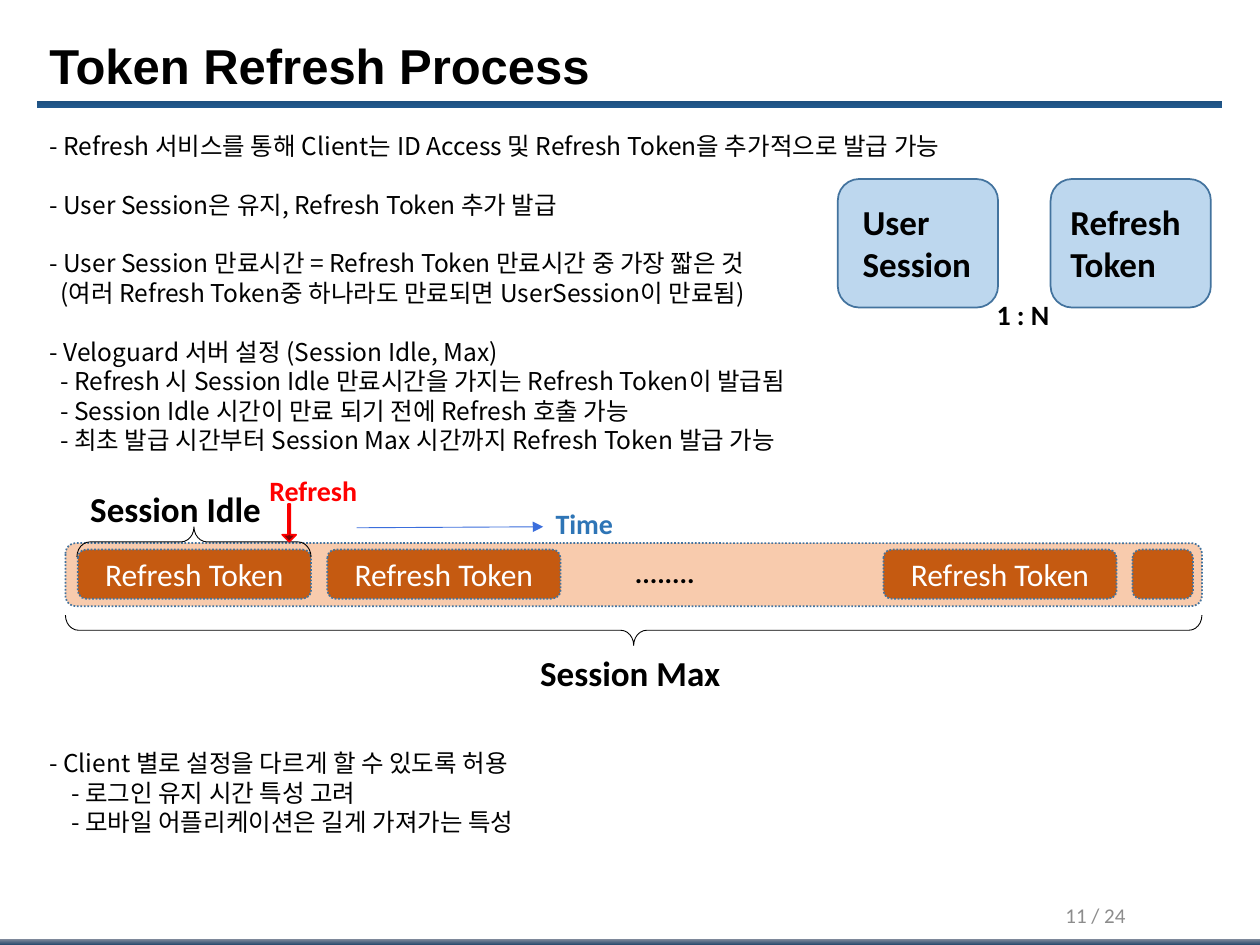
from lxml import etree
from pptx import Presentation
from pptx.dml.color import RGBColor
from pptx.enum.dml import MSO_LINE
from pptx.enum.shapes import MSO_CONNECTOR, MSO_SHAPE
from pptx.enum.text import MSO_ANCHOR, MSO_AUTO_SIZE, PP_ALIGN
from pptx.oxml.ns import qn
from pptx.util import Cm, Pt

RECT, ROUNDED = MSO_SHAPE.RECTANGLE, MSO_SHAPE.ROUNDED_RECTANGLE
BRACE, DOWN_ARROW = MSO_SHAPE.LEFT_BRACE, MSO_SHAPE.DOWN_ARROW
STRAIGHT = MSO_CONNECTOR.STRAIGHT
LEFT, CENTER, RIGHT = PP_ALIGN.LEFT, PP_ALIGN.CENTER, PP_ALIGN.RIGHT
TOP, MIDDLE = MSO_ANCHOR.TOP, MSO_ANCHOR.MIDDLE
FIXED_SIZE = MSO_AUTO_SIZE.NONE
DOTTED = MSO_LINE.ROUND_DOT

COLORS = {
    "black": "000000", "white": "FFFFFF", "gray": "8C8C8C", "red": "FF0000",
    "time": "2E75B6", "time_arrow": "3B6EDC", "outline": "43739E",
    "entity": "BDD7EE", "track": "F8CBAD", "token": "C55A11",
    "title_bar": ("1E4F7E", "22598E"), "footer_bar": ("8C93A1", "29496D"),
    "refresh_arrow": ("E30000", "760303"),
}
NOTES_FONT = "Noto Sans CJK KR"
LINE_PITCH = 16.8  # points
INDENT = 0.22  # cm per level

# Text, indent level, empty lines above
NOTES = [
    ("- Refresh 서비스를 통해 Client는 ID Access 및 Refresh Token을 추가적으로 발급 가능", 0, 0),
    ("- User Session은 유지, Refresh Token 추가 발급", 0, 1),
    ("- User Session 만료시간 = Refresh Token 만료시간 중 가장 짧은 것", 0, 1),
    ("(여러 Refresh Token중 하나라도 만료되면 UserSession이 만료됨)", 1, 0),
    ("- Veloguard 서버 설정 (Session Idle, Max)", 0, 1),
    ("- Refresh 시 Session Idle 만료시간을 가지는 Refresh Token이 발급됨", 1, 0),
    ("- Session Idle 시간이 만료 되기 전에 Refresh 호출 가능", 1, 0),
    ("- 최초 발급 시간부터 Session Max 시간까지 Refresh Token 발급 가능", 1, 0),
    ("- Client 별로 설정을 다르게 할 수 있도록 허용", 0, 10),
    ("- 로그인 유지 시간 특성 고려", 2, 0),
    ("- 모바일 어플리케이션은 길게 가져가는 특성", 2, 0),
]


def rgb(name):
    return RGBColor.from_string(COLORS[name])


def place(shape, left, top, width, height):
    shape.left, shape.top = Cm(left), Cm(top)
    shape.width, shape.height = Cm(width), Cm(height)


def style_text(frame, size, color="black", bold=False, align=LEFT, font="Calibri"):
    for paragraph in frame.paragraphs:
        paragraph.alignment = align
        for run in paragraph.runs:
            run.font.name, run.font.size, run.font.bold = font, Pt(size), bold
            run.font.color.rgb = rgb(color)


def add_label(slide, text, box, size, color="black", bold=True, align=LEFT,
              anchor=TOP, wrap=True):
    frame = slide.shapes.add_textbox(*map(Cm, box)).text_frame
    frame.text = text
    frame.word_wrap = wrap
    frame.vertical_anchor = anchor
    style_text(frame, size, color, bold, align)


def add_block(slide, kind, box, fill=None, line=None, weight=1, dash=None):
    block = slide.shapes.add_shape(kind, *map(Cm, box))
    block.shadow.inherit = False
    if fill is None:
        block.fill.background()
    elif isinstance(COLORS[fill], tuple):
        block.fill.gradient()
        block.fill.gradient_angle = 270
        for stop, color in zip(block.fill.gradient_stops, COLORS[fill]):
            stop.color.rgb = RGBColor.from_string(color)
    else:
        block.fill.solid()
        block.fill.fore_color.rgb = rgb(fill)
    if line is None:
        block.line.fill.background()
    else:
        block.line.color.rgb = rgb(line)
        block.line.width = Pt(weight)
        if dash:
            block.line.dash_style = dash
    return block


def add_brace(slide, left, top, width, height, rotation):
    """Horizontal brace that fills the given box after its rotation."""
    box = (left + (width - height) / 2, top + (height - width) / 2, height, width)
    brace = add_block(slide, BRACE, box, line="black", weight=0.5)
    brace.rotation = rotation
    brace.adjustments[0] = 0.43


def add_time_arrow(slide, start, end):
    arrow = slide.shapes.add_connector(STRAIGHT, *map(Cm, start + end))
    arrow.line.color.rgb = rgb("time_arrow")
    arrow.line.width = Pt(0.5)
    line = arrow._element.spPr.find(qn("a:ln"))
    etree.SubElement(line, qn("a:tailEnd"), type="triangle")
    etree.SubElement(arrow._element.spPr, qn("a:effectLst"))


def build_header(slide, left, top, width):
    title = slide.shapes.title
    place(title, left, top, width, 1.55)
    frame = title.text_frame
    frame.text = "Token Refresh Process"
    frame.auto_size = FIXED_SIZE
    frame.vertical_anchor = MIDDLE
    frame.paragraphs[0].line_spacing = 0.9
    style_text(frame, 28, bold=True, font="Arial")
    add_block(slide, RECT, (left, top + 1.42, width, 0.15), "title_bar")


def build_footer(slide, top, width):
    add_block(slide, RECT, (0, top + 0.81, width, 0.13), "footer_bar")
    add_label(slide, "11 / 24", (17.22, top, 5.72, 0.66), 12, "gray", False,
              RIGHT, MIDDLE)


def build_notes(slide, left, top, width, height):
    notes = slide.placeholders[1]
    place(notes, left, top, width, height)
    frame = notes.text_frame
    frame.auto_size = FIXED_SIZE
    frame.text = "\n".join(text for text, _, _ in NOTES)
    style_text(frame, 14, font=NOTES_FONT)
    for paragraph, (_, level, gap) in zip(frame.paragraphs, NOTES):
        paragraph.line_spacing = Pt(LINE_PITCH)
        paragraph.space_before = Pt(gap * LINE_PITCH)
        properties = paragraph._p.get_or_add_pPr()
        properties.set("marL", str(Cm(level * INDENT)))
        properties.set("indent", "0")
        etree.SubElement(properties, qn("a:buNone"))
        for run in paragraph.runs:
            etree.SubElement(run.font._element, qn("a:ea"), typeface=NOTES_FONT)


def build_relation(slide, left, top):
    # One user session to many refresh tokens
    for offset, inset, words in ((0, 0.25, "User\nSession"), (4.29, 0.15, "Refresh\nToken")):
        x = left + offset
        add_block(slide, ROUNDED, (x, top, 3.23, 2.59), "entity", "outline")
        add_label(slide, words, (x + inset, top + 0.3, 2.8, 1.96), 20, wrap=False)
    add_label(slide, "1 : N", (left + 2.95, top + 2.26, 1.57, 0.94), 16, wrap=False)


def build_timeline(slide, left, top, width):
    # Track and its tokens
    add_block(slide, ROUNDED, (left, top, width, 1.27), "track", "outline", dash=DOTTED)
    for offset, token_width, text in ((0.25, 4.7, "Refresh Token"),
                                      (5.28, 4.7, "Refresh Token"),
                                      (16.49, 4.7, "Refresh Token"),
                                      (21.51, 1.22, "")):
        token = add_block(slide, ROUNDED, (left + offset, top + 0.13, token_width, 0.99),
                          "token", "outline", dash=DOTTED)
        if text:
            token.text_frame.text = text
            token.text_frame.vertical_anchor = MIDDLE
            style_text(token.text_frame, 18, "white", align=CENTER)

    # Spans of the idle and maximum times
    add_brace(slide, left + 0.23, top - 0.33, 4.72, 0.61, 90)
    add_brace(slide, left, top + 1.45, width, 0.61, 270)

    # Refresh call and direction of time
    add_block(slide, DOWN_ARROW, (left + 4.37, top - 0.79, 0.28, 0.76),
              "refresh_arrow", "red").adjustments[0] = 0.15
    add_time_arrow(slide, (left + 5.87, top - 0.31), (left + 9.63, top - 0.33))

    for text, x, y, size, color in (("Session Max", 9.32, 2.05, 20, "black"),
                                    ("Session Idle", 0.25, -1.25, 20, "black"),
                                    ("Time", 9.63, -0.87, 16, "time"),
                                    ("........", 11.23, 0.12, 16, "black"),
                                    ("Refresh", 3.86, -1.53, 16, "red")):
        add_label(slide, text, (left + x, top + y, 5.03, 1), size, color)


def main():
    deck = Presentation()
    deck.slide_width, deck.slide_height = Cm(25.4), Cm(19.05)
    slide = deck.slides.add_slide(deck.slide_layouts[1])
    build_header(slide, 0.74, 0.61, 23.9)
    build_footer(slide, 18.11, 25.4)
    build_notes(slide, 0.74, 2.51, 23.9, 15.24)
    build_relation(slide, 16.89, 3.61)
    build_timeline(slide, 1.32, 10.95, 22.91)
    deck.save("out.pptx")


if __name__ == "__main__":
    main()
